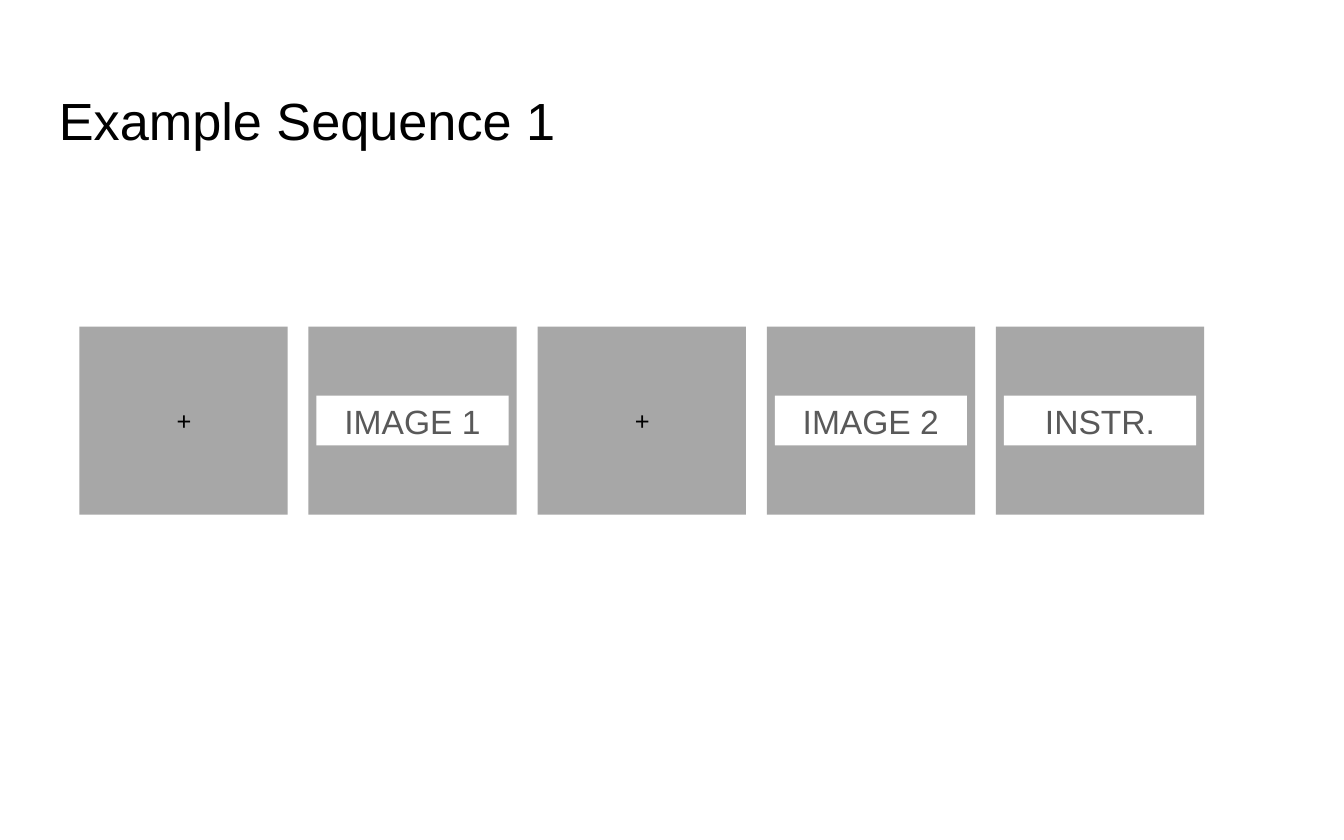
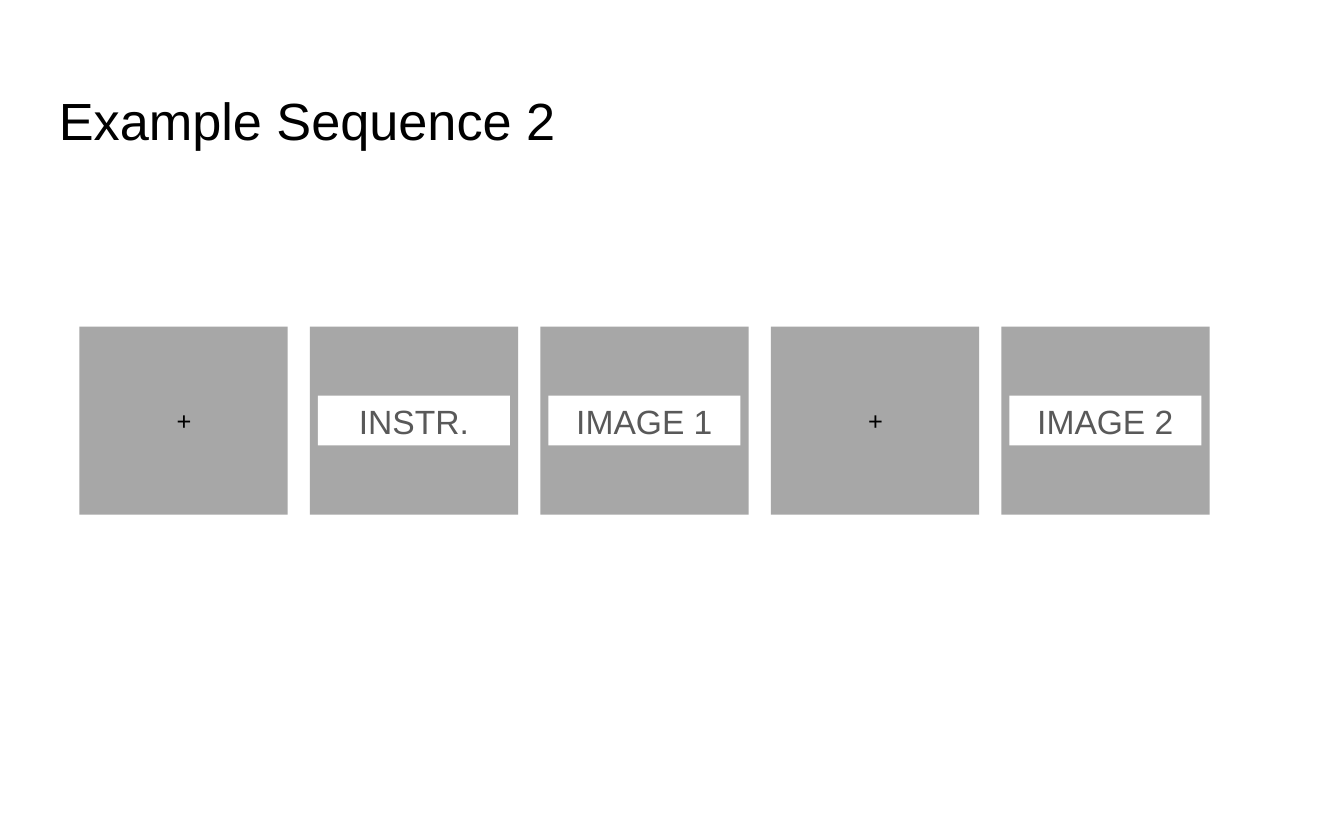
import pptx
import pptx.util
import pptx.dml.color
import pptx.enum.shapes
import pptx.enum.text

RGBColor = pptx.dml.color.RGBColor
BLACK = RGBColor(0x00, 0x00, 0x00)
WHITE = RGBColor(0xFF, 0xFF, 0xFF)
CARD_GRAY = RGBColor(0xA7, 0xA7, 0xA7)
LABEL_GRAY = RGBColor(0x59, 0x59, 0x59)
FONT = "Arial"

CELL = pptx.util.Inches(0.1)
COLUMNS, ROWS = 100, 62.5
CARD_LEFT, CARD_TOP = 5.9, 24.3
CARD_WIDTH, CARD_HEIGHT = 15.5, 14
LABEL_WIDTH, CROSS_WIDTH, LABEL_HEIGHT = 14.3, 2.6, 3.7

SEQUENCES = [
    ("Example Sequence 1", 74.1, ["+", "IMAGE 1", "+", "IMAGE 2", "INSTR."]),
    ("Example Sequence 2", 74.5, ["+", "INSTR.", "IMAGE 1", "+", "IMAGE 2"]),
]


def grid(*cells):
    return [round(c * CELL) for c in cells]


def write(sp, text, size, color, align, inset):
    tf = sp.text_frame
    tf.word_wrap = True
    tf.vertical_anchor = pptx.enum.text.MSO_ANCHOR.MIDDLE
    tf.margin_left, tf.margin_top, tf.margin_right, tf.margin_bottom = grid(*[inset] * 4)
    tf.text = text
    p = tf.paragraphs[0]
    p.alignment = align
    font = p.runs[0].font
    font.name = FONT
    font.size = pptx.util.Pt(size)
    font.color.rgb = color


def add_title(s, text):
    sp = s.shapes.add_textbox(*grid(3.4, 5.4, 93.2, 7))
    write(sp, text, 28, BLACK, pptx.enum.text.PP_ALIGN.LEFT, 1)


def add_rect(shapes, left, top, width, height, fill):
    sp = shapes.add_shape(pptx.enum.shapes.MSO_SHAPE.RECTANGLE,
                          *grid(left, top, width, height))
    sp.shadow.inherit = False
    sp.fill.solid()
    sp.fill.fore_color.rgb = fill
    sp.line.fill.background()
    return sp


def add_label(shapes, left, text, width, fill, size, color, inset):
    sp = add_rect(shapes, left + (CARD_WIDTH - width) / 2,
                  CARD_TOP + (CARD_HEIGHT - LABEL_HEIGHT) / 2,
                  width, LABEL_HEIGHT, fill)
    write(sp, text, size, color, pptx.enum.text.PP_ALIGN.CENTER, inset)


def add_card(s, left, text):
    is_cross = text == "+"
    shapes = s.shapes.add_group_shape().shapes if is_cross else s.shapes
    add_rect(shapes, left, CARD_TOP, CARD_WIDTH, CARD_HEIGHT, CARD_GRAY)
    if is_cross:
        add_label(shapes, left, text, CROSS_WIDTH, CARD_GRAY, 13.6, BLACK, 0.8)
    else:
        add_label(shapes, left, text, LABEL_WIDTH, WHITE, 18, LABEL_GRAY, 1)


def add_sequence(prs, title, last_left, labels):
    s = prs.slides.add_slide(prs.slide_layouts[6])
    s.background.fill.solid()
    s.background.fill.fore_color.rgb = WHITE
    add_title(s, title)
    pitch = (last_left - CARD_LEFT) / (len(labels) - 1)
    for i, text in enumerate(labels):
        add_card(s, CARD_LEFT + i * pitch, text)


def main():
    prs = pptx.Presentation()
    prs.slide_width, prs.slide_height = grid(COLUMNS, ROWS)
    for title, last_left, labels in SEQUENCES:
        add_sequence(prs, title, last_left, labels)
    prs.save("out.pptx")


if __name__ == "__main__":
    main()
